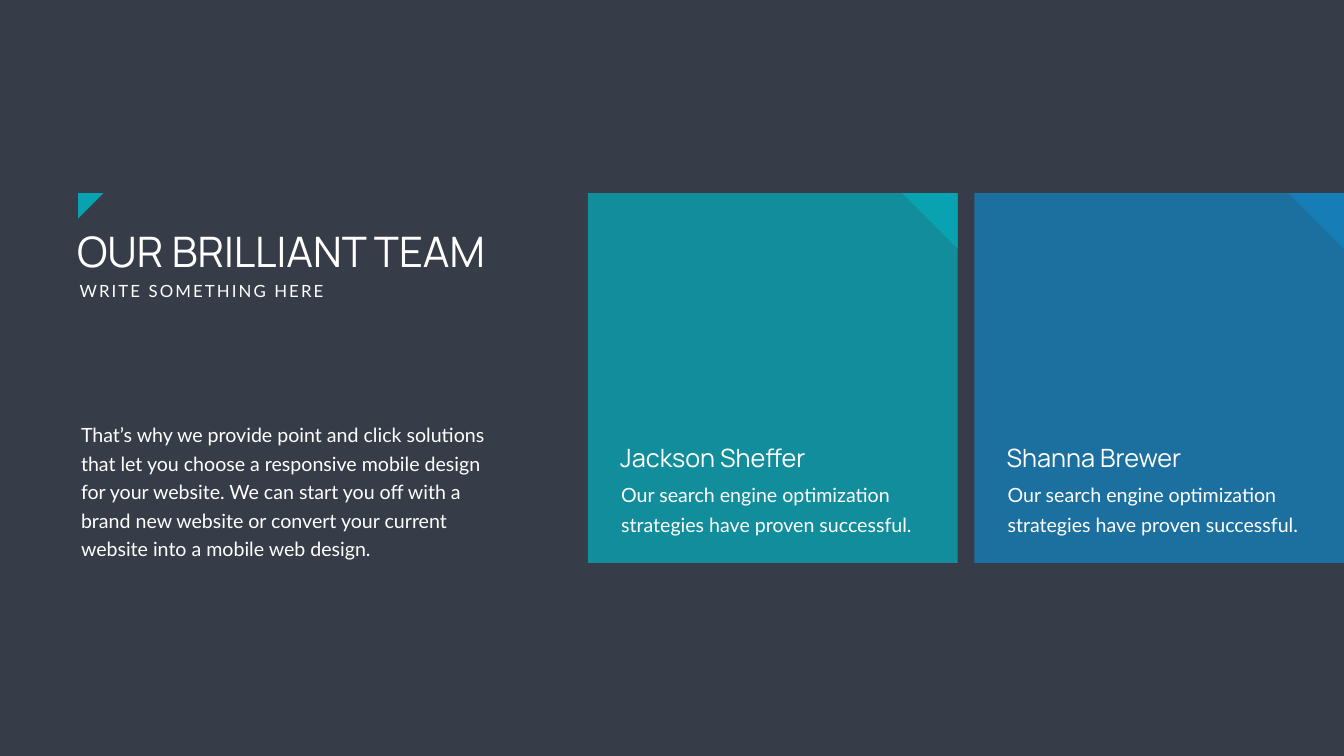
import dataclasses

import lxml.etree
import pptx
import pptx.dml.color
import pptx.enum.shapes
import pptx.enum.text
import pptx.oxml.ns
import pptx.util

SLIDE_WIDTH = 26.66
SLIDE_HEIGHT = 15
COLUMNS = 80
ROWS = 45
CARD_SIZE = 22
CARD_GAP = 1
FIRST_CARD_COLUMN = 35
BAND_TOP = (ROWS - CARD_SIZE) / 2


@dataclasses.dataclass(frozen=True)
class Theme:
    """Colours, fonts and type sizes of the slide."""

    background: str = "363D48"
    text: str = "FFFFFF"
    teal: str = "09A2B1"
    blue: str = "167DB7"
    card_opacity: int = 80
    display_font: str = "Manrope"
    body_font: str = "Lato"
    title_size: int = 60
    name_size: int = 36
    body_size: int = 28
    subtitle_size: int = 24
    subtitle_tracking: int = 3
    card_leading: float = 43
    story_leading: float = 40.8


@dataclasses.dataclass(frozen=True)
class Box:
    """A rectangle measured in grid columns and rows."""

    left: float
    top: float
    width: float
    height: float

    def inner(self, left, top, width, height):
        """Return a box placed relative to this one."""
        return Box(self.left + left, self.top + top, width, height)

    def lengths(self):
        """Return left, top, width and height as slide lengths."""
        column = SLIDE_WIDTH / COLUMNS
        row = SLIDE_HEIGHT / ROWS
        return (
            pptx.util.Inches(self.left * column),
            pptx.util.Inches(self.top * row),
            pptx.util.Inches(self.width * column),
            pptx.util.Inches(self.height * row),
        )


THEME = Theme()
SHAPES = pptx.enum.shapes.MSO_SHAPE
CARDS = [
    ("Jackson Sheffer", THEME.teal),
    ("Shanna Brewer", THEME.blue),
]
CARD_TEXT = "Our search engine optimization strategies have proven successful."
STORY = (
    "That’s why we provide point and click solutions that let you choose "
    "a responsive mobile design for your website. We can start you off with "
    "a brand new website or convert your current website into a mobile web design."
)


def add_block(shapes, kind, box, colour, rotation=0, opacity=100):
    """Add a borderless filled shape."""
    block = shapes.add_shape(kind, *box.lengths())
    block.shadow.inherit = False
    block.rotation = rotation
    block.line.fill.background()
    block.fill.solid()
    block.fill.fore_color.rgb = pptx.dml.color.RGBColor.from_string(colour)
    if opacity < 100:
        tag = pptx.oxml.ns.qn("a:srgbClr")
        for element in block.fill._xPr.iter(tag):
            alpha = lxml.etree.SubElement(element, pptx.oxml.ns.qn("a:alpha"))
            alpha.set("val", str(opacity * 1000))


def add_text(shapes, box, words, font, size, leading=None, tracking=0, wrap=True):
    """Add a text box holding one paragraph."""
    frame = shapes.add_textbox(*box.lengths()).text_frame
    frame.word_wrap = wrap
    frame.auto_size = pptx.enum.text.MSO_AUTO_SIZE.SHAPE_TO_FIT_TEXT
    para = frame.paragraphs[0]
    span = para.add_run()
    span.text = words
    para.font.name = font
    para.font.size = pptx.util.Pt(size)
    para.font.color.rgb = pptx.dml.color.RGBColor.from_string(THEME.text)
    if leading:
        para.line_spacing = pptx.util.Pt(leading)
    if tracking:
        span._r.get_or_add_rPr().set("spc", str(tracking * 100))


def add_card(page, box, name, colour):
    """Build a team member card with a folded corner."""
    fold = 3.3
    corner = box.inner(box.width - fold, 0, fold, fold)
    add_block(page.shapes, SHAPES.RECTANGLE, box, colour, opacity=THEME.card_opacity)
    add_block(page.shapes, SHAPES.RIGHT_TRIANGLE, corner, colour, rotation=180)
    group = page.shapes.add_group_shape().shapes
    add_text(group, box.inner(1.68, 16.68, 18.63, 3.75), CARD_TEXT,
             THEME.body_font, THEME.body_size, leading=THEME.card_leading)
    add_text(group, box.inner(1.62, 14.67, 13.8, 2.13), name,
             THEME.display_font, THEME.name_size)


def add_introduction(page, box):
    """Build the heading, its corner mark and the story below."""
    group = page.shapes.add_group_shape().shapes
    add_text(group, box.inner(0, 1.75, box.width, 3.33), "OUR BRILLIANT TEAM",
             THEME.display_font, THEME.title_size)
    add_text(group, box.inner(0.15, 5.08, 15.42, 1.5), "WRITE SOMETHING HERE",
             THEME.body_font, THEME.subtitle_size,
             tracking=THEME.subtitle_tracking, wrap=False)
    add_block(group, SHAPES.RIGHT_TRIANGLE, box.inner(0.36, 0, 1.5, 1.5),
              THEME.teal, rotation=90)
    add_text(page.shapes, box.inner(0.24, 13.24, 26, 8.76), STORY,
             THEME.body_font, THEME.body_size, leading=THEME.story_leading)


def main():
    """Build the team slide and save it."""
    deck = pptx.Presentation()
    deck.slide_width = pptx.util.Inches(SLIDE_WIDTH)
    deck.slide_height = pptx.util.Inches(SLIDE_HEIGHT)
    page = deck.slides.add_slide(deck.slide_layouts[6])
    page.background.fill.solid()
    page.background.fill.fore_color.rgb = pptx.dml.color.RGBColor.from_string(
        THEME.background)
    for index, (name, colour) in enumerate(CARDS):
        left = FIRST_CARD_COLUMN + index * (CARD_SIZE + CARD_GAP)
        add_card(page, Box(left, BAND_TOP, CARD_SIZE, CARD_SIZE), name, colour)
    add_introduction(page, Box(4.29, BAND_TOP, 26.97, CARD_SIZE))
    deck.save("out.pptx")


if __name__ == "__main__":
    main()
